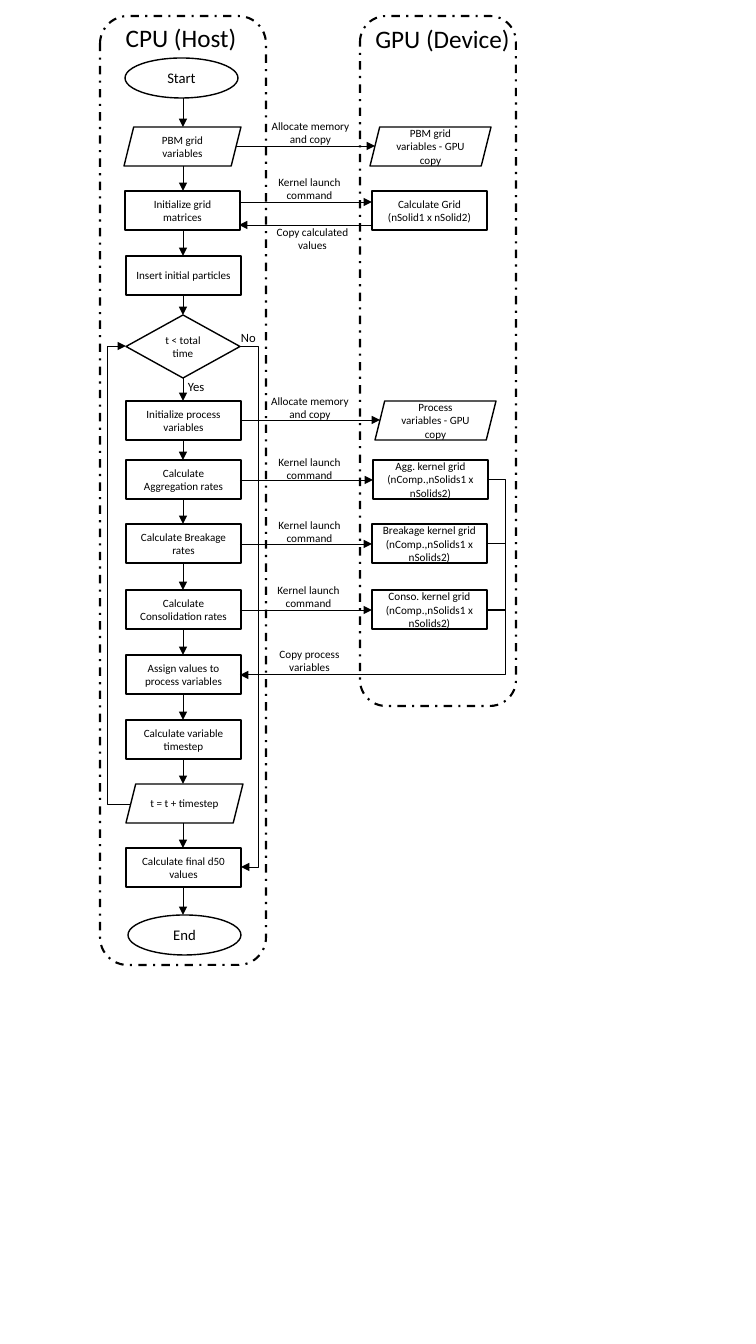
from dataclasses import dataclass

from lxml import etree
from pptx import Presentation
from pptx.dml.color import RGBColor
from pptx.enum.dml import MSO_LINE
from pptx.enum.shapes import MSO_CONNECTOR, MSO_SHAPE
from pptx.enum.text import MSO_ANCHOR, PP_ALIGN
from pptx.oxml.ns import qn
from pptx.util import Pt

OVAL, RECT, DIAMOND = MSO_SHAPE.OVAL, MSO_SHAPE.RECTANGLE, MSO_SHAPE.DIAMOND
SLANT, ROUNDED = MSO_SHAPE.PARALLELOGRAM, MSO_SHAPE.ROUNDED_RECTANGLE
STRAIGHT, ELBOW = MSO_CONNECTOR.STRAIGHT, MSO_CONNECTOR.ELBOW
DASH_DOT = MSO_LINE.DASH_DOT
LEFT, CENTER = PP_ALIGN.LEFT, PP_ALIGN.CENTER
TOP, MIDDLE = MSO_ANCHOR.TOP, MSO_ANCHOR.MIDDLE
SCALE = 914400 / 100.8
SLIDE_SIZE = (756, 1344)
HOST_BOX = (100, 16, 166, 949)
DEVICE_BOX = (360, 16, 156, 690)
TRANSFER_BOX = (240, 16, 132, 690)


@dataclass(frozen=True)
class Theme:
    """Colours, font, type sizes and line widths of the flowchart."""
    ink: RGBColor = RGBColor(0, 0, 0)
    font: str = "Calibri"
    title: float = 18
    terminal: float = 10.5
    branch: float = 9
    label: float = 8
    node: float = 7.9
    frame_line: float = 1.5
    node_line: float = 1
    join_line: float = 0.75
    arrow_line: float = 0.5


THEME = Theme()

HOST_STEPS = [
    (OVAL, 25, 42, 113, 40, "Start", THEME.terminal),
    (SLANT, 24, 111, 117, 39, "PBM grid variables", THEME.node),
    (RECT, 25, 175, 115, 39, "Initialize grid matrices", THEME.node),
    (RECT, 26, 240, 115, 39, "Insert initial particles", THEME.node),
    (DIAMOND, 26, 299, 114, 63, "t < total time", THEME.node),
    (RECT, 26, 385, 115, 39, "Initialize process variables", THEME.node),
    (RECT, 26, 444, 115, 39, "Calculate Aggregation rates", THEME.node),
    (RECT, 26, 508, 115, 39, "Calculate Breakage rates", THEME.node),
    (RECT, 26, 574, 115, 39, "Calculate Consolidation rates", THEME.node),
    (RECT, 26, 639, 115, 39, "Assign values to process variables", THEME.node),
    (RECT, 26, 704, 115, 39, "Calculate variable timestep", THEME.node),
    (SLANT, 26, 768, 117, 39, "t = t + timestep", THEME.node),
    (RECT, 26, 832, 115, 39, "Calculate final d50 values", THEME.node),
    (OVAL, 28, 899, 113, 40, "End", THEME.terminal),
]
KERNEL_SIZE = "(nComp.,nSolids1 x nSolids2)"
DEVICE_NODES = [
    (SLANT, 10, 111, 121, 39, "PBM grid variables - GPU copy", THEME.node),
    (RECT, 12, 175, 115, 39, "Calculate Grid (nSolid1 x nSolid2)", THEME.node),
    (SLANT, 15, 385, 121, 39, "Process variables - GPU copy", THEME.node),
    (RECT, 13, 444, 115, 39, f"Agg. kernel grid {KERNEL_SIZE}", THEME.node),
    (RECT, 12, 508, 115, 39, f"Breakage kernel grid {KERNEL_SIZE}", THEME.label),
    (RECT, 12, 574, 115, 39, f"Conso. kernel grid {KERNEL_SIZE}", THEME.label),
]
ALLOCATE, LAUNCH = "Allocate memory and copy", "Kernel launch command"
TRANSFERS = [
    (ALLOCATE, 20, 98, 101, -4, 135, 130),
    (LAUNCH, 19, 154, 101, -1, 132, 186),
    ("Copy calculated values", 21, 204, 103, 132, -1, 209),
    (ALLOCATE, 21, 373, 98, 1, 140, 404),
    (LAUNCH, 19, 434, 101, 0, 133, 464),
    (LAUNCH, 19, 497, 101, 0, 132, 528),
    (LAUNCH, 18, 562, 101, 0, 132, 594),
]


def px(value):
    """Turn picture pixels into EMU."""
    return round(value * SCALE)


def apply(target, values):
    """Set each named value on the target."""
    for name, value in values.items():
        setattr(target, name, value)


def write(frame, text, size, align=CENTER, anchor=MIDDLE, wrap=True):
    """Put one formatted paragraph into a text frame."""
    apply(frame, {"word_wrap": wrap, "vertical_anchor": anchor, "text": text})
    paragraph = frame.paragraphs[0]
    paragraph.alignment = align
    font = paragraph.runs[0].font
    apply(font, {"name": THEME.font, "size": Pt(size)})
    font.color.rgb = THEME.ink


def place(slide, kind, box, width):
    """Add an unfilled outline of the given kind and line width."""
    outline = slide.shapes.add_shape(kind, *map(px, box))
    outline.shadow.inherit = False
    outline.fill.background()
    outline.line.color.rgb = THEME.ink
    outline.line.width = Pt(width)
    return outline


def draw_node(slide, origin, kind, left, top, width, height, text, size):
    """Draw one flowchart step relative to its region."""
    box = (origin[0] + left, origin[1] + top, width, height)
    node = place(slide, kind, box, THEME.node_line)
    if kind == DIAMOND:
        apply(node.text_frame, {"margin_left": px(6), "margin_right": px(6),
                                "margin_top": px(3), "margin_bottom": px(3)})
    write(node.text_frame, text, size)


def draw_label(slide, origin, box, text, size, align=CENTER, wrap=True):
    """Draw free text relative to its region."""
    left, top, width, height = box
    label = slide.shapes.add_textbox(
        px(origin[0] + left), px(origin[1] + top), px(width), px(height))
    write(label.text_frame, text, size, align, TOP, wrap)


def draw_link(slide, origin, start, end, width=THEME.arrow_line, via=None, head=True):
    """Join two points, bending at column via when it is given."""
    x, y = origin[:2]
    ends = (x + start[0], y + start[1], x + end[0], y + end[1])
    link = slide.shapes.add_connector(STRAIGHT if via is None else ELBOW, *map(px, ends))
    link.line.color.rgb = THEME.ink
    link.line.width = Pt(width)
    properties = link._element.spPr
    if via is not None:
        bend = round(100000 * (via - start[0]) / (end[0] - start[0]))
        guides = properties.find(qn("a:prstGeom")).get_or_add_avLst()
        etree.SubElement(guides, qn("a:gd"), name="adj1", fmla=f"val {bend}")
    if head:
        etree.SubElement(properties.find(qn("a:ln")), qn("a:tailEnd"), type="triangle")
    etree.SubElement(properties, qn("a:effectLst"))


def draw_frame(slide, box, title, title_box):
    """Draw a dashed region frame with its title."""
    frame = place(slide, ROUNDED, box, THEME.frame_line)
    frame.line.dash_style = DASH_DOT
    draw_label(slide, box, title_box, title, THEME.title, wrap=False)


def draw_host(slide, box):
    """Draw the host column with its chain of steps and loop paths."""
    draw_frame(slide, box, "CPU (Host)", (15, 1, 132, 40))
    for step in HOST_STEPS:
        draw_node(slide, box, *step)
    for (_, _, top, _, height, *_), following in zip(HOST_STEPS, HOST_STEPS[1:]):
        draw_link(slide, box, (83, top + height), (83, following[2]))
    draw_link(slide, box, (31, 788), (26, 330), via=7)
    draw_link(slide, box, (140, 330), (141, 851), via=158)
    draw_label(slide, box, (78, 358, 38, 25), "Yes", THEME.branch, LEFT, False)
    draw_label(slide, box, (131, 309, 35, 25), "No", THEME.branch, LEFT, False)


def draw_device(slide, box):
    """Draw the device column and the joints of its kernel results."""
    draw_frame(slide, box, "GPU (Device)", (5, 2, 155, 40))
    for node in DEVICE_NODES:
        draw_node(slide, box, *node)
    for y in (528, 594):
        draw_link(slide, box, (127, y), (145, y), THEME.join_line, head=False)


def draw_transfers(slide, box):
    """Draw the labelled arrows between host and device."""
    for text, left, top, width, start, end, y in TRANSFERS:
        draw_label(slide, box, (left, top, width, 38), text, THEME.label)
        draw_link(slide, box, (start, y), (end, y))
    draw_label(slide, box, (19, 626, 101, 38), "Copy process variables", THEME.label)
    draw_link(slide, box, (248, 464), (0, 659), THEME.join_line, via=265)


def main():
    """Build and save the slide."""
    deck = Presentation()
    deck.slide_width, deck.slide_height = map(px, SLIDE_SIZE)
    slide = deck.slides.add_slide(deck.slide_layouts[6])
    draw_host(slide, HOST_BOX)
    draw_device(slide, DEVICE_BOX)
    draw_transfers(slide, TRANSFER_BOX)
    deck.save("out.pptx")


main()
